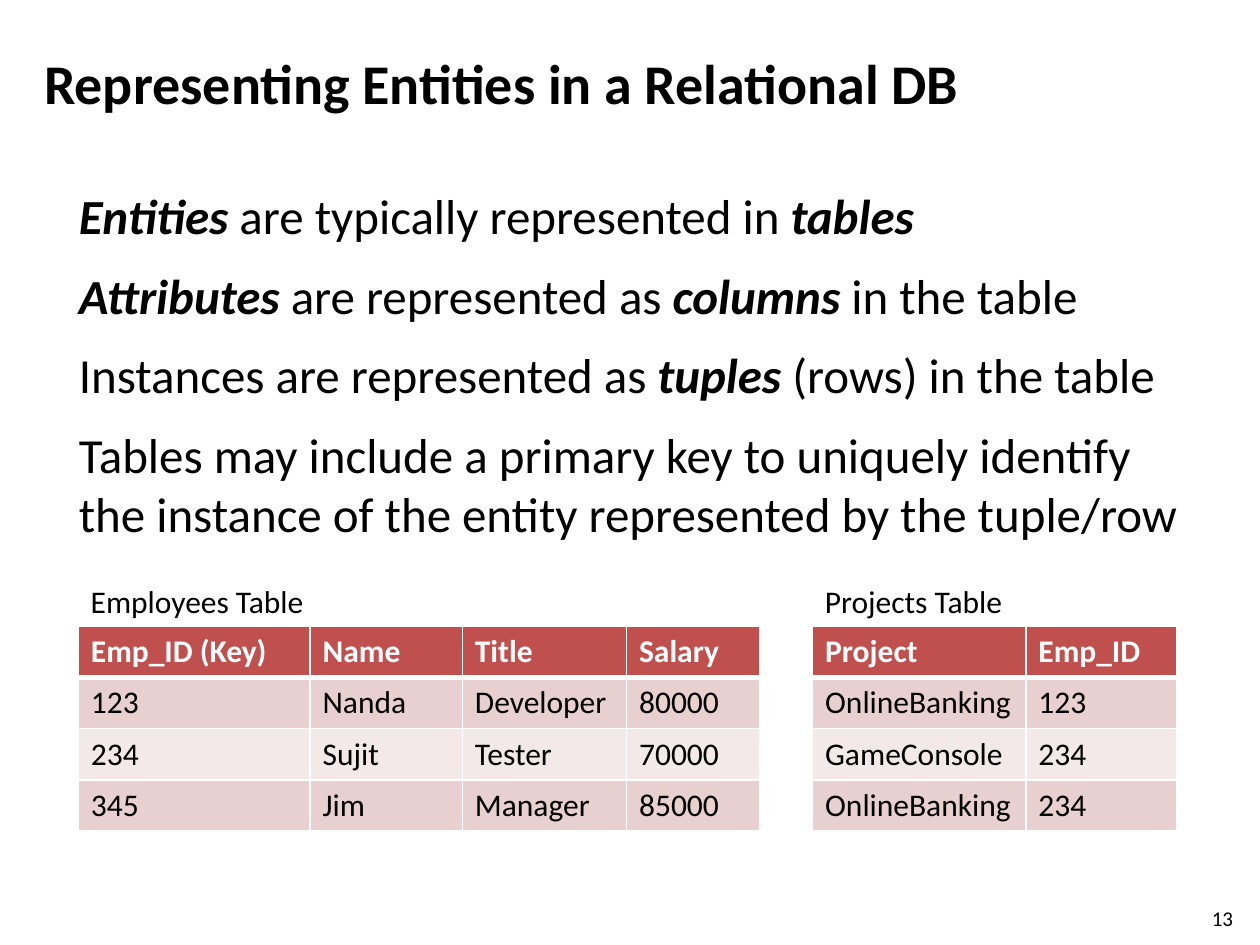
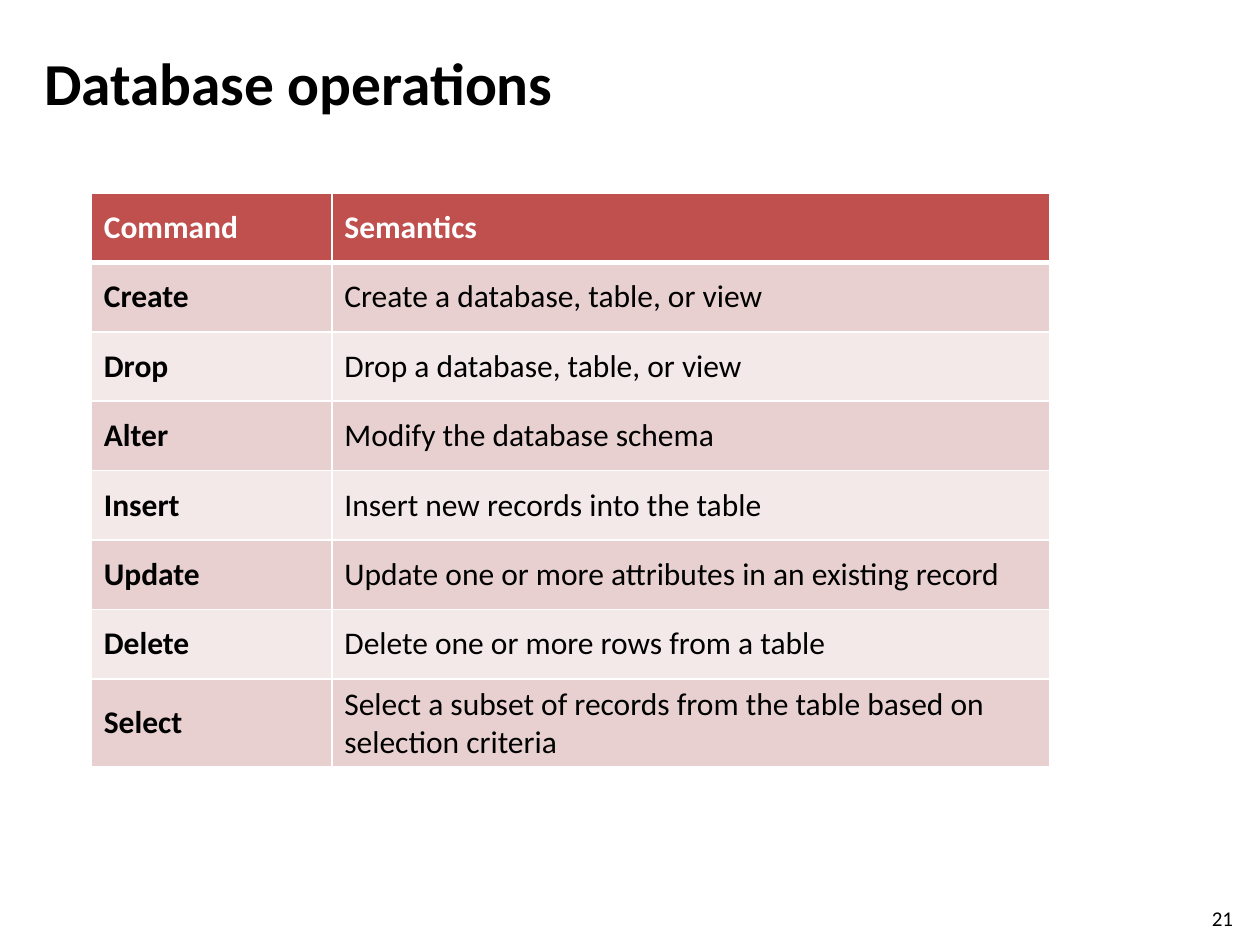
import pptx
import pptx.dml.color
import pptx.enum.text
import pptx.util
from lxml import etree
from pptx.oxml.ns import qn
from pptx.util import Cm

COLORS = {
    "text": "000000",
    "paper": "FFFFFF",
    "header": "C0504D",
    "odd_row": "E8D0D0",
    "even_row": "F4E9E9",
}
FONT = "Calibri"
ANCHOR = pptx.enum.text.MSO_ANCHOR
MARGIN = 1.58
CAPTION_TOP = 11.61
TABLE_TOP = 12.63


def rgb(name):
    return pptx.dml.color.RGBColor.from_string(COLORS[name])


def write(frame, *paragraphs, size=18, bold=False, color="text", space_after=0, anchor=ANCHOR.TOP):
    """Write paragraphs; parts between asterisks become bold italic."""
    frame.word_wrap = True
    frame.vertical_anchor = anchor
    for index, text in enumerate(paragraphs):
        paragraph = frame.add_paragraph() if index else frame.paragraphs[0]
        paragraph.space_after = pptx.util.Pt(space_after)
        for position, part in enumerate(text.split("*")):
            if not part:
                continue
            emphasized = position % 2 == 1
            run = paragraph.add_run()
            run.text = part
            run.font.name = FONT
            run.font.size = pptx.util.Pt(size)
            run.font.bold = bold or emphasized
            run.font.italic = emphasized
            run.font.color.rgb = rgb(color)


def draw_borders(cell, top=1, bottom=1):
    properties = cell._tc.get_or_add_tcPr()
    for side, points in (("L", 1), ("R", 1), ("T", top), ("B", bottom)):
        line = etree.SubElement(properties, qn(f"a:ln{side}"), w=str(pptx.util.Pt(points)))
        fill = etree.SubElement(line, qn("a:solidFill"))
        etree.SubElement(fill, qn("a:srgbClr"), val=COLORS["paper"])


class Deck:
    def __init__(self):
        self.presentation = pptx.Presentation()
        self.presentation.slide_width = Cm(25.4)
        self.presentation.slide_height = Cm(19.05)
        self.slide = None

    def start_slide(self, title, number, title_size):
        self.slide = self.presentation.slides.add_slide(self.presentation.slide_layouts[6])
        self.slide.background.fill.solid()
        self.slide.background.fill.fore_color.rgb = rgb("paper")
        self.text(0.64, 0.76, 23.1, 1.78, title, size=title_size, bold=True, anchor=ANCHOR.MIDDLE)
        self.text(24.18, 18.14, 1.02, 0.61, str(number), size=12)

    def text(self, left, top, width, height, *paragraphs, **style):
        box = self.slide.shapes.add_textbox(Cm(left), Cm(top), Cm(width), Cm(height))
        write(box.text_frame, *paragraphs, **style)

    def table(self, left, top, widths, row_height, rows, bold_first=False, anchor=ANCHOR.TOP):
        frame = self.slide.shapes.add_table(
            len(rows), len(widths), Cm(left), Cm(top), Cm(sum(widths)), Cm(row_height * len(rows)))
        table = frame.table
        for column, width in zip(table.columns, widths):
            column.width = Cm(width)
        for row_index, row in enumerate(rows):
            header = row_index == 0
            fill = "header" if header else "odd_row" if row_index % 2 else "even_row"
            for column_index, text in enumerate(row):
                cell = table.cell(row_index, column_index)
                draw_borders(cell, top=3 if row_index == 1 else 1, bottom=3 if header else 1)
                cell.fill.solid()
                cell.fill.fore_color.rgb = rgb(fill)
                write(cell.text_frame, text,
                      bold=header or (bold_first and column_index == 0),
                      color="paper" if header else "text")
                cell.vertical_anchor = anchor

    def captioned_table(self, caption, left, widths, rows):
        self.text(left, CAPTION_TOP, 8.69, 1.02, caption)
        self.table(left, TABLE_TOP, widths, 1.03, rows)


def build_entities_slide(deck):
    deck.start_slide("Representing Entities in a Relational DB", 13, title_size=32)
    deck.text(
        1.34, 3.61, 22.86, 7.9,
        "*Entities* are typically represented in *tables*",
        "*Attributes* are represented as *columns* in the table",
        "Instances are represented as *tuples* (rows) in the table",
        "Tables may include a primary key to uniquely identify "
        "the instance of the entity represented by the tuple/row",
        size=28, space_after=12)
    deck.captioned_table("Employees Table", MARGIN, [4.67, 3.07, 3.31, 2.69], [
        ("Emp_ID (Key)", "Name", "Title", "Salary"),
        ("123", "Nanda", "Developer", "80000"),
        ("234", "Sujit", "Tester", "70000"),
        ("345", "Jim", "Manager", "85000"),
    ])
    deck.captioned_table("Projects Table", 16.38, [4.3, 3.04], [
        ("Project", "Emp_ID"),
        ("OnlineBanking", "123"),
        ("GameConsole", "234"),
        ("OnlineBanking", "234"),
    ])


def build_operations_slide(deck):
    deck.start_slide("Database operations", 21, title_size=34)
    deck.table(1.84, 3.89, [4.85, 14.48], 1.4, [
        ("Command", "Semantics"),
        ("Create", "Create a database, table, or view"),
        ("Drop", "Drop a database, table, or view"),
        ("Alter", "Modify the database schema"),
        ("Insert", "Insert new records into the table"),
        ("Update", "Update one or more attributes in an existing record"),
        ("Delete", "Delete one or more rows from a table"),
        ("Select", "Select a subset of records from the table based on selection criteria"),
    ], bold_first=True, anchor=ANCHOR.MIDDLE)


def main():
    deck = Deck()
    build_entities_slide(deck)
    build_operations_slide(deck)
    deck.presentation.save("out.pptx")


if __name__ == "__main__":
    main()
